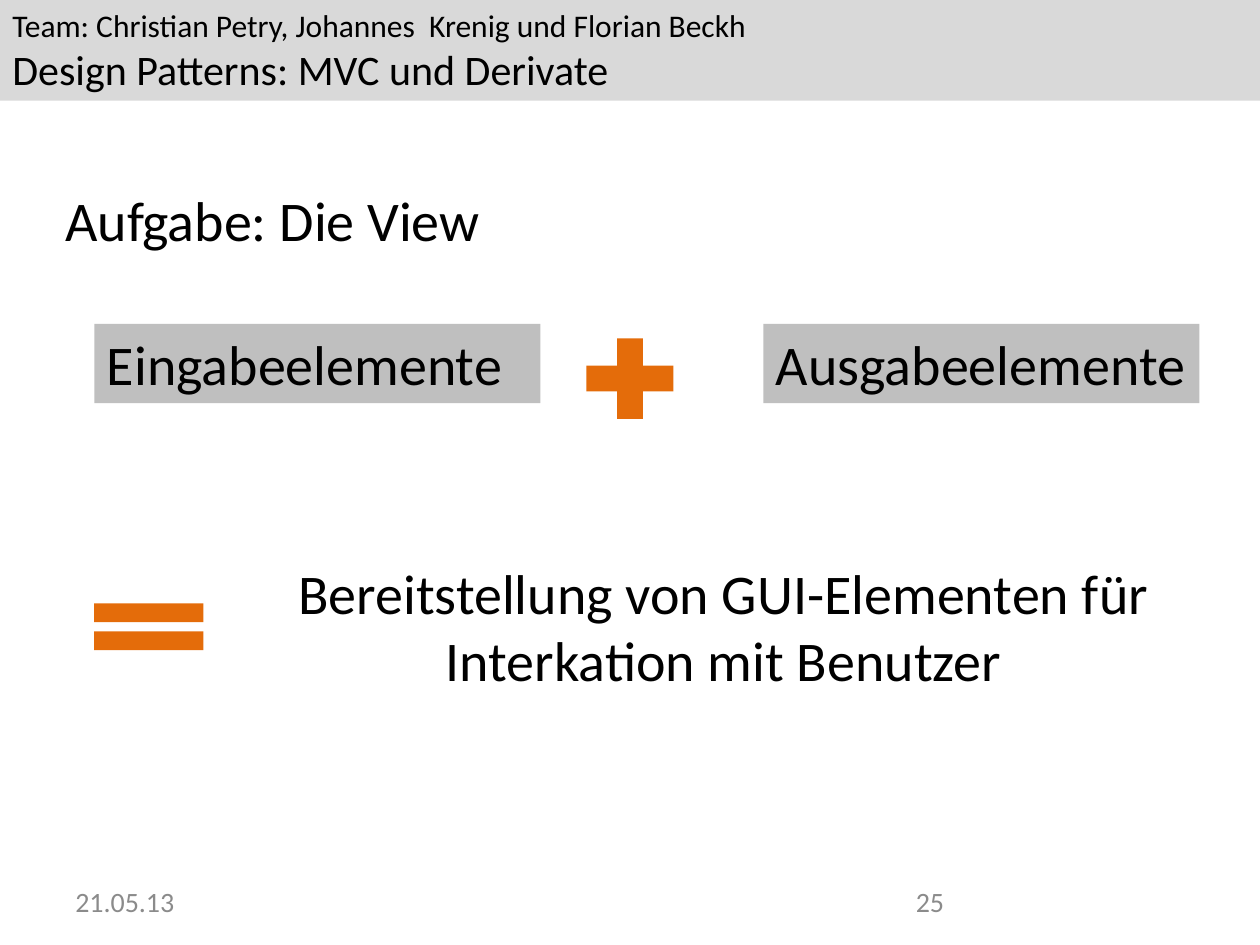
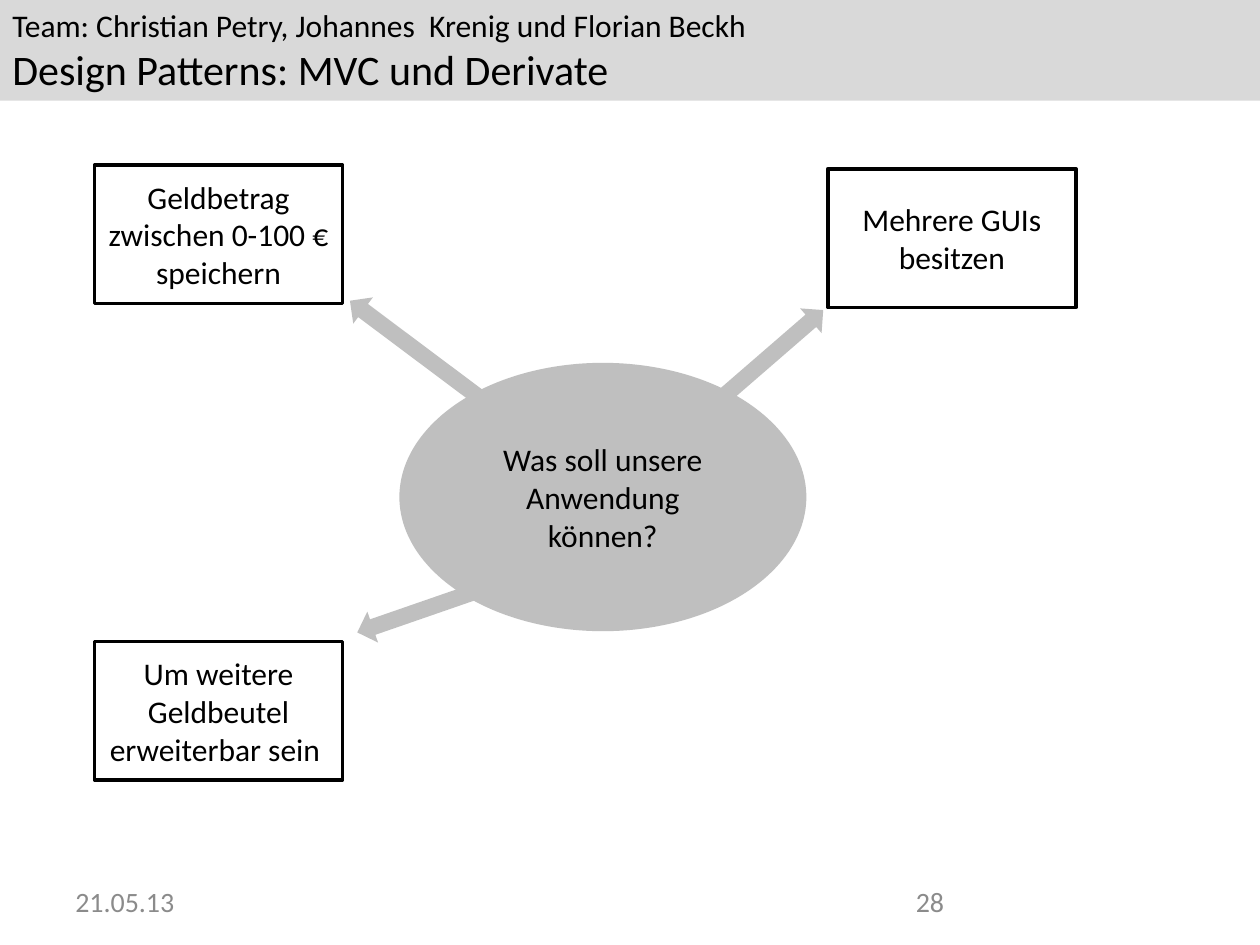
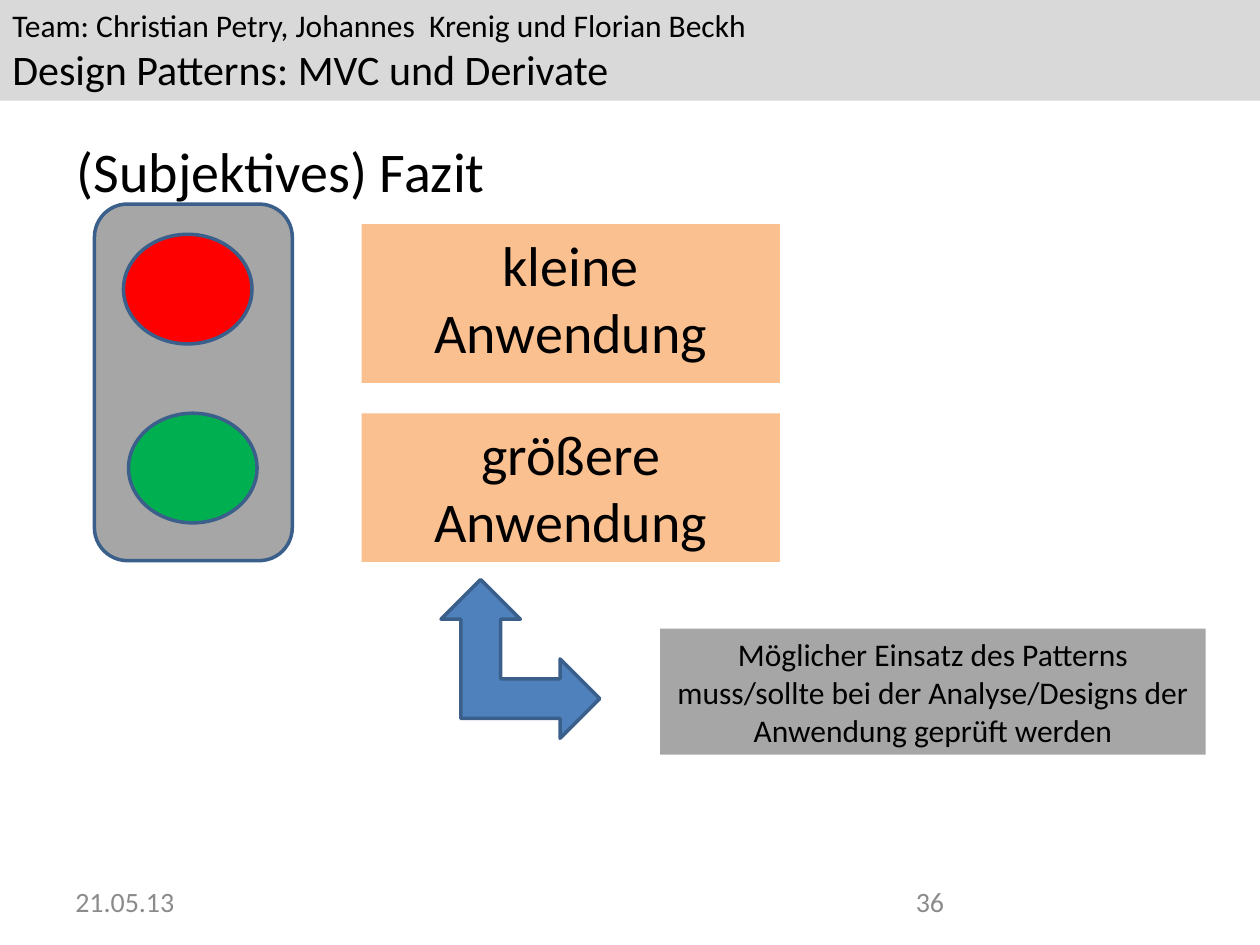
"""Build three slides about MVC design patterns."""
from dataclasses import dataclass

from pptx import Presentation
from pptx.dml.color import RGBColor
from pptx.enum.shapes import MSO_SHAPE
from pptx.enum.text import MSO_ANCHOR, PP_ALIGN
from pptx.util import Inches, Pt


@dataclass(frozen=True)
class Theme:
    """Hold the font, type sizes and colours that all slides share."""
    font: str = "Calibri"
    small: int = 16
    body: int = 18
    subject: int = 24
    large: int = 32
    line_width: int = 2
    text: str = "000000"
    footer: str = "8B8B8B"
    band: str = "D9D9D9"
    box: str = "BFBFBF"
    note: str = "A6A6A6"
    paper: str = "FFFFFF"
    operator: str = "E46C0A"
    case: str = "FAC090"
    arrow: str = "4F81BD"
    outline: str = "3A5F8B"
    red: str = "FF0000"
    green: str = "00B050"


THEME = Theme()
TEAM = "Team: Christian Petry, Johannes  Krenig und Florian Beckh"
SUBJECT = "Design Patterns: MVC und Derivate"
DATE = "21.05.13"


def write(shape, lines, align=PP_ALIGN.LEFT, anchor=MSO_ANCHOR.TOP, color=THEME.text):
    """Write (text, size) lines into a shape, one paragraph each."""
    frame = shape.text_frame
    frame.word_wrap = True
    frame.vertical_anchor = anchor
    for index, (text, size) in enumerate(lines):
        paragraph = frame.add_paragraph() if index else frame.paragraphs[0]
        paragraph.alignment = align
        run = paragraph.add_run()
        run.text = text
        run.font.name = THEME.font
        run.font.size = Pt(size)
        run.font.color.rgb = RGBColor.from_string(color)


def add_figure(slide, kind, area, fill, line=None, rotation=0):
    """Add a flat preset shape with an optional outline."""
    shape = slide.shapes.add_shape(kind, *map(Inches, area))
    shape.shadow.inherit = False
    shape.rotation = rotation
    shape.fill.solid()
    shape.fill.fore_color.rgb = RGBColor.from_string(fill)
    if line:
        shape.line.color.rgb = RGBColor.from_string(line)
        shape.line.width = Pt(THEME.line_width)
    else:
        shape.line.fill.background()
    return shape


def add_label(slide, area, text, size, **style):
    """Add a text box with one line of content."""
    write(slide.shapes.add_textbox(*map(Inches, area)), [(text, size)], **style)


def add_title(slide, left, top, text):
    """Add the slide title."""
    add_label(slide, (left, top, 9, 1.02), text, THEME.large, anchor=MSO_ANCHOR.MIDDLE)


def add_box(slide, area, text, fill, size=THEME.large, align=PP_ALIGN.CENTER):
    """Add a filled rectangle with text at its top."""
    box = add_figure(slide, MSO_SHAPE.RECTANGLE, area, fill)
    write(box, [(text, size)], align)


def add_slide(presentation, number):
    """Add a slide with the header band, date and slide number."""
    slide = presentation.slides.add_slide(presentation.slide_layouts[6])
    band = add_figure(slide, MSO_SHAPE.RECTANGLE, (0, 0, 10, 0.8), THEME.band)
    write(band, [(TEAM, THEME.body), (SUBJECT, THEME.subject)])
    for left, text in ((0.5, DATE), (7.17, str(number))):
        add_label(slide, (left, 6.95, 2.33, 0.4), text, THEME.small,
                  anchor=MSO_ANCHOR.MIDDLE, color=THEME.footer)
    return slide


def build_view(presentation):
    """Show the task of the view as a sum of elements."""
    slide = add_slide(presentation, 25)
    add_title(slide, 0.42, 1.23, "Aufgabe: Die View")
    add_label(slide, (2.16, 4.38, 7.17, 1.18),
              "Bereitstellung von GUI-Elementen für Interkation mit Benutzer",
              THEME.large, align=PP_ALIGN.CENTER)
    add_figure(slide, MSO_SHAPE.MATH_EQUAL, (0.59, 4.66, 1.18, 0.63), THEME.operator)
    for left, width, text in ((0.75, 3.54, "Eingabeelemente"), (6.06, 3.46, "Ausgabeelemente")):
        add_box(slide, (left, 2.57, width, 0.63), text, THEME.box, align=PP_ALIGN.LEFT)
    add_figure(slide, MSO_SHAPE.MATH_PLUS, (4.53, 2.57, 0.94, 0.87), THEME.operator)


def build_requirements(presentation):
    """Show the application's requirements around a central question."""
    slide = add_slide(presentation, 28)
    question = add_figure(slide, MSO_SHAPE.OVAL, (3.17, 2.88, 3.23, 2.13), THEME.box)
    write(question, [("Was soll unsere Anwendung können?", THEME.body)],
          PP_ALIGN.CENTER, MSO_ANCHOR.MIDDLE)
    requirements = (
        (0.75, 1.31, "Geldbetrag zwischen 0-100 € speichern"),
        (6.57, 1.34, "Mehrere GUIs besitzen"),
        (0.75, 5.09, "Um weitere Geldbeutel erweiterbar sein "),
    )
    for left, top, text in requirements:
        box = add_figure(slide, MSO_SHAPE.RECTANGLE, (left, top, 1.97, 1.1),
                         THEME.paper, THEME.text)
        write(box, [(text, THEME.body)], PP_ALIGN.CENTER, MSO_ANCHOR.MIDDLE)
    for left, top, angle in ((2.65, 2.64, 216.8), (5.41, 2.75, 319.1), (2.8, 4.68, 160.9)):
        add_figure(slide, MSO_SHAPE.RIGHT_ARROW, (left, top, 1.28, 0.26),
                   THEME.box, rotation=angle)


def build_conclusion(presentation):
    """Show the conclusion as a traffic light beside two cases."""
    slide = add_slide(presentation, 36)
    add_title(slide, 0.51, 0.84, "(Subjektives) Fazit")
    for top, height, text in ((1.78, 1.26, "kleine Anwendung"), (3.28, 1.18, "größere Anwendung")):
        add_box(slide, (2.87, top, 3.32, height), text, THEME.case)
    add_figure(slide, MSO_SHAPE.LEFT_UP_ARROW, (3.5, 4.6, 1.26, 1.26),
               THEME.arrow, THEME.outline, rotation=90)
    add_box(slide, (5.24, 4.99, 4.33, 1),
            "Möglicher Einsatz des Patterns muss/sollte bei der Analyse/Designs der "
            "Anwendung geprüft werden", THEME.note, THEME.body)
    add_figure(slide, MSO_SHAPE.FLOWCHART_ALTERNATE_PROCESS, (0.75, 1.62, 1.57, 2.83),
               THEME.note, THEME.outline)
    for left, top, color in ((0.98, 1.86, THEME.red), (1.02, 3.28, THEME.green)):
        add_figure(slide, MSO_SHAPE.OVAL, (left, top, 1.02, 0.87), color, THEME.outline)


def main():
    """Build and save the presentation."""
    presentation = Presentation()
    presentation.slide_width = Inches(10)
    presentation.slide_height = Inches(7.5)
    build_view(presentation)
    build_requirements(presentation)
    build_conclusion(presentation)
    presentation.save("out.pptx")


if __name__ == "__main__":
    main()
